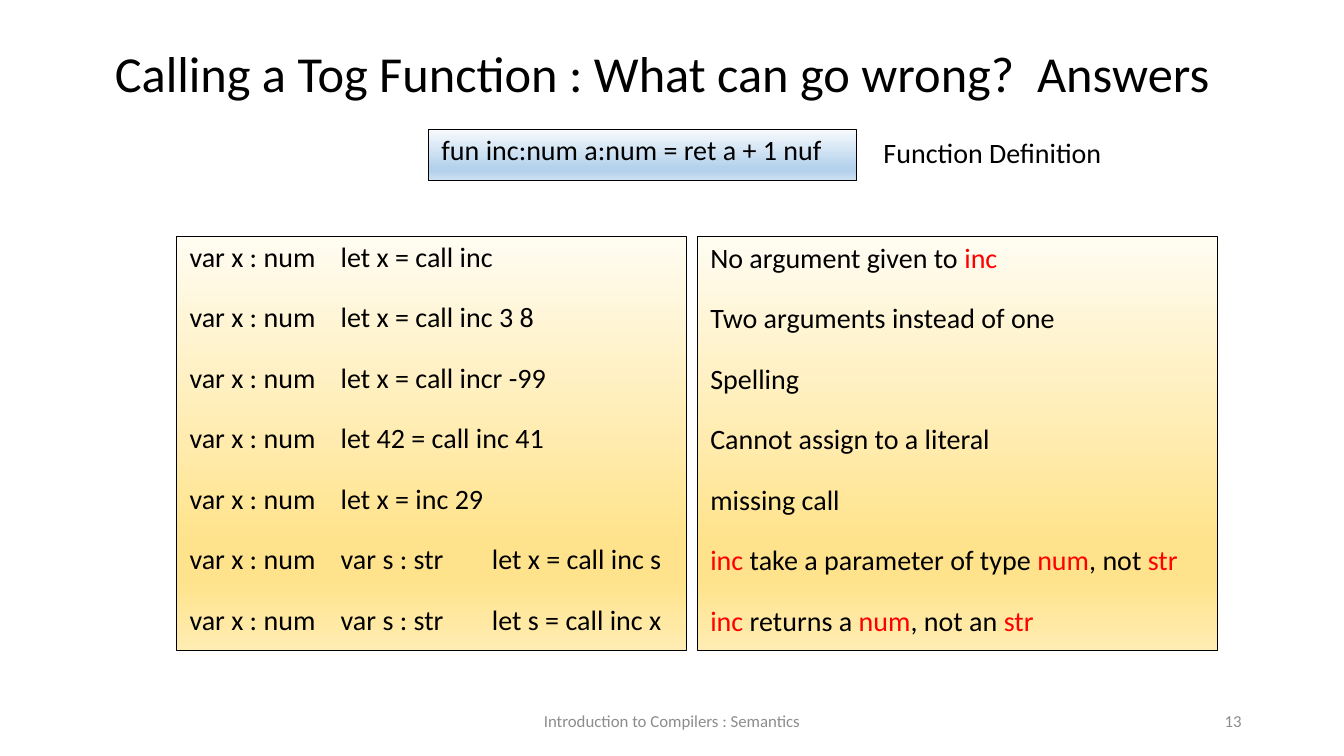
"""Slide listing faulty calls of a Tog function beside the reason each one fails."""
from copy import deepcopy

from lxml import etree
from pptx import Presentation, util as u
from pptx.dml.color import RGBColor
from pptx.enum import shapes, text
from pptx.oxml import ns

BLACK = RGBColor(0x00, 0x00, 0x00)
RED = RGBColor(0xFF, 0x00, 0x00)
GREY = RGBColor(0x8C, 0x8C, 0x8C)
BLUES = [RGBColor.from_string(c) for c in ("F7FAFD", "B5D2EC", "B5D2EC", "CEE1F2")]
GOLDS = [RGBColor.from_string(c) for c in ("FFFCF2", "FFE38C", "FFE38C", "FFECB2")]
STOPS = (0, 0.74, 0.83, 1)

FAULTY_CALLS = [
    "var x : num\tlet x = call inc",
    "var x : num\tlet x = call inc 3 8",
    "var x : num\tlet x = call incr -99",
    "var x : num\tlet 42 = call inc 41",
    "var x : num\tlet x = inc 29",
    "var x : num\tvar s : str\tlet x = call inc s",
    "var x : num\tvar s : str\tlet s = call inc x",
]
ANSWERS = [
    "No argument given to |inc|",
    "Two arguments instead of one",
    "Spelling",
    "Cannot assign to a literal",
    "missing call",
    "|inc| take a parameter of type |num|, not |str|",
    "|inc| returns a |num|, not an |str|",
]

deck = Presentation()
deck.slide_width, deck.slide_height = u.Inches(13.33), u.Inches(7.5)
COL, ROW = deck.slide_width / 160, deck.slide_height / 90
slide = deck.slides.add_slide(deck.slide_layouts[3])
title, calls, answers = slide.placeholders


def place_text(part, cell, lines, size, color=BLACK, insets=(0.1, 0.05),
               align=text.PP_ALIGN.LEFT, anchor=text.MSO_ANCHOR.TOP):
    """Put lines in a part at a grid cell; words between bars turn red."""
    left, top, width, height = cell
    part.left, part.width = round(left * COL), round(width * COL)
    part.top, part.height = round(top * ROW), round(height * ROW)
    frame = part.text_frame
    frame.word_wrap, frame.auto_size = True, text.MSO_AUTO_SIZE.NONE
    frame.vertical_anchor = anchor
    frame.margin_left = frame.margin_right = u.Inches(insets[0])
    frame.margin_top = frame.margin_bottom = u.Inches(insets[1])
    for row, line in enumerate(lines):
        paragraph = frame.add_paragraph() if row else frame.paragraphs[0]
        paragraph.alignment = align
        paragraph.space_before = u.Pt(0)
        for order, words in enumerate(line.split("|")):
            if words:
                run = paragraph.add_run()
                run.text = words
                run.font.size, run.font.name = u.Pt(size), "Calibri"
                run.font.color.rgb = RED if order % 2 else color


def paint_panel(panel, colors):
    """Give a panel its four-stop gradient and thin black outline."""
    panel.fill.gradient()
    panel.fill.gradient_angle = 270
    stop_list = panel._element.spPr.find(".//" + ns.qn("a:gsLst"))
    for stop in list(stop_list):
        stop_list.append(deepcopy(stop))
    for stop, position, color in zip(panel.fill.gradient_stops, STOPS, colors):
        stop.position, stop.color.rgb = position, color
    panel.line.color.rgb, panel.line.width = BLACK, u.Pt(0.75)
    for paragraph in panel.text_frame.paragraphs:
        paragraph.line_spacing = 0.9


place_text(title, (12.1, 3.5, 136.8, 12.1),
           ["Calling a Tog Function : What can go wrong?  Answers"], 36, insets=(0.13, 0.13))

definition = slide.shapes.add_shape(shapes.MSO_SHAPE.RECTANGLE, 0, 0, 0, 0)
definition.shadow.inherit = False
place_text(definition, (51, 15.4, 51, 6.1),
           ["fun inc:num a:num = ret a + 1 nuf"], 20, insets=(0.13, 0.07))
paint_panel(definition, BLUES)

for panel, cell, lines in ((calls, (21, 28.1, 60.7, 49.3), FAULTY_CALLS),
                           (answers, (83, 28.2, 62, 49.2), ANSWERS)):
    place_text(panel, cell, lines, 20, insets=(0.13, 0.07))
    paint_panel(panel, GOLDS)
    for paragraph in panel.text_frame.paragraphs:
        paragraph.space_after = u.Pt(21.6)
        properties = paragraph._p.get_or_add_pPr()
        properties.set("marL", "0")
        properties.set("indent", "0")
        etree.SubElement(properties, ns.qn("a:buNone"))
        if panel is calls:
            tabs = etree.SubElement(properties, ns.qn("a:tabLst"))
            for stop in (18, 33.3):
                etree.SubElement(tabs, ns.qn("a:tab"), pos=str(round(stop * COL)), algn="l")
    paragraph.space_after = u.Pt(0)

MIDDLE = text.MSO_ANCHOR.MIDDLE
for cell, words, size, color, align, anchor in (
    ((104, 15.5, 31, 5.3), "Function Definition", 20, BLACK,
     text.PP_ALIGN.LEFT, text.MSO_ANCHOR.TOP),
    ((53, 83.4, 54, 4.8), "Introduction to Compilers : Semantics", 12, GREY,
     text.PP_ALIGN.CENTER, MIDDLE),
    ((113, 83.4, 36, 4.8), "13", 12, GREY, text.PP_ALIGN.RIGHT, MIDDLE),
):
    label = slide.shapes.add_textbox(0, 0, 0, 0)
    place_text(label, cell, [words], size, color, align=align, anchor=anchor)

deck.save("out.pptx")
